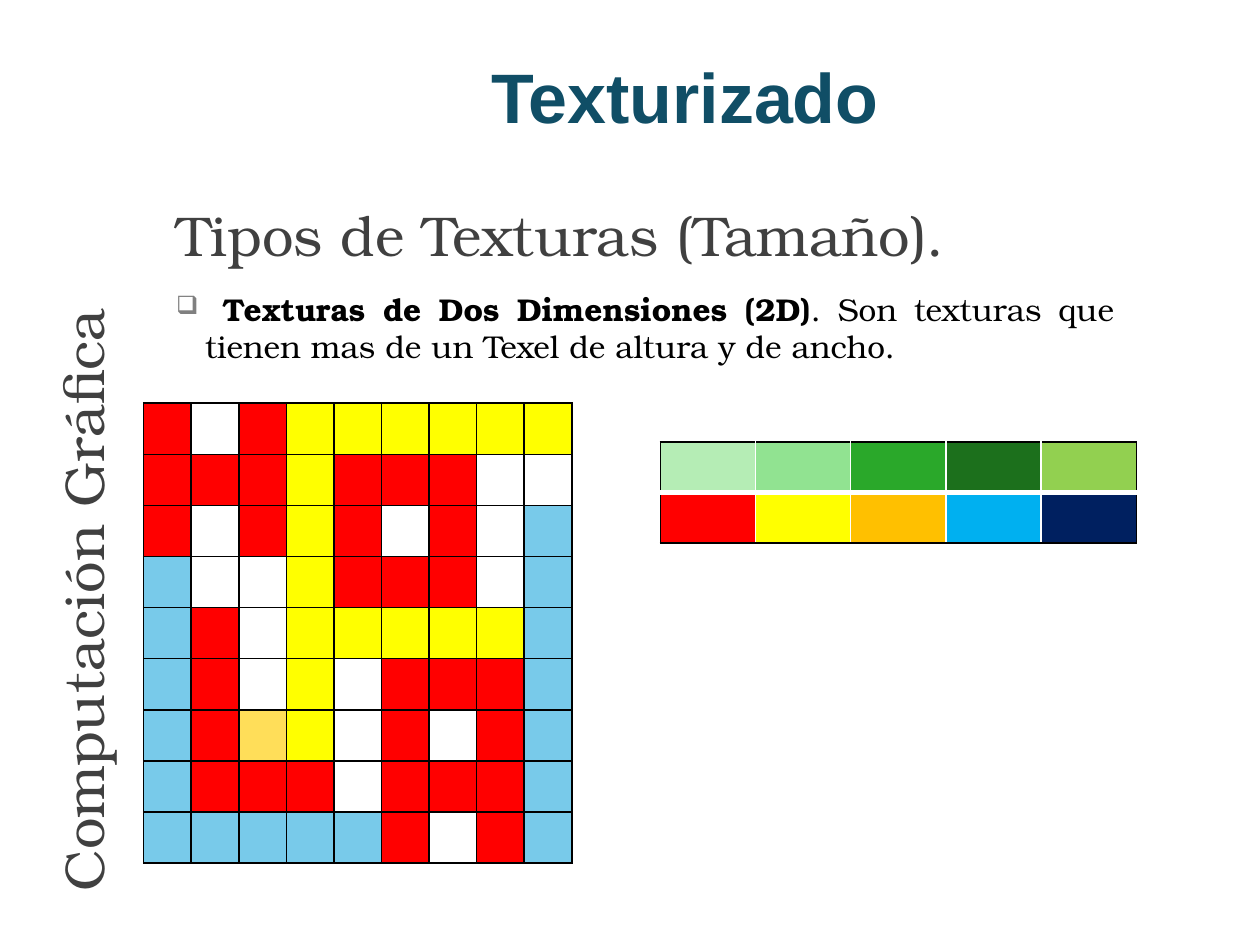
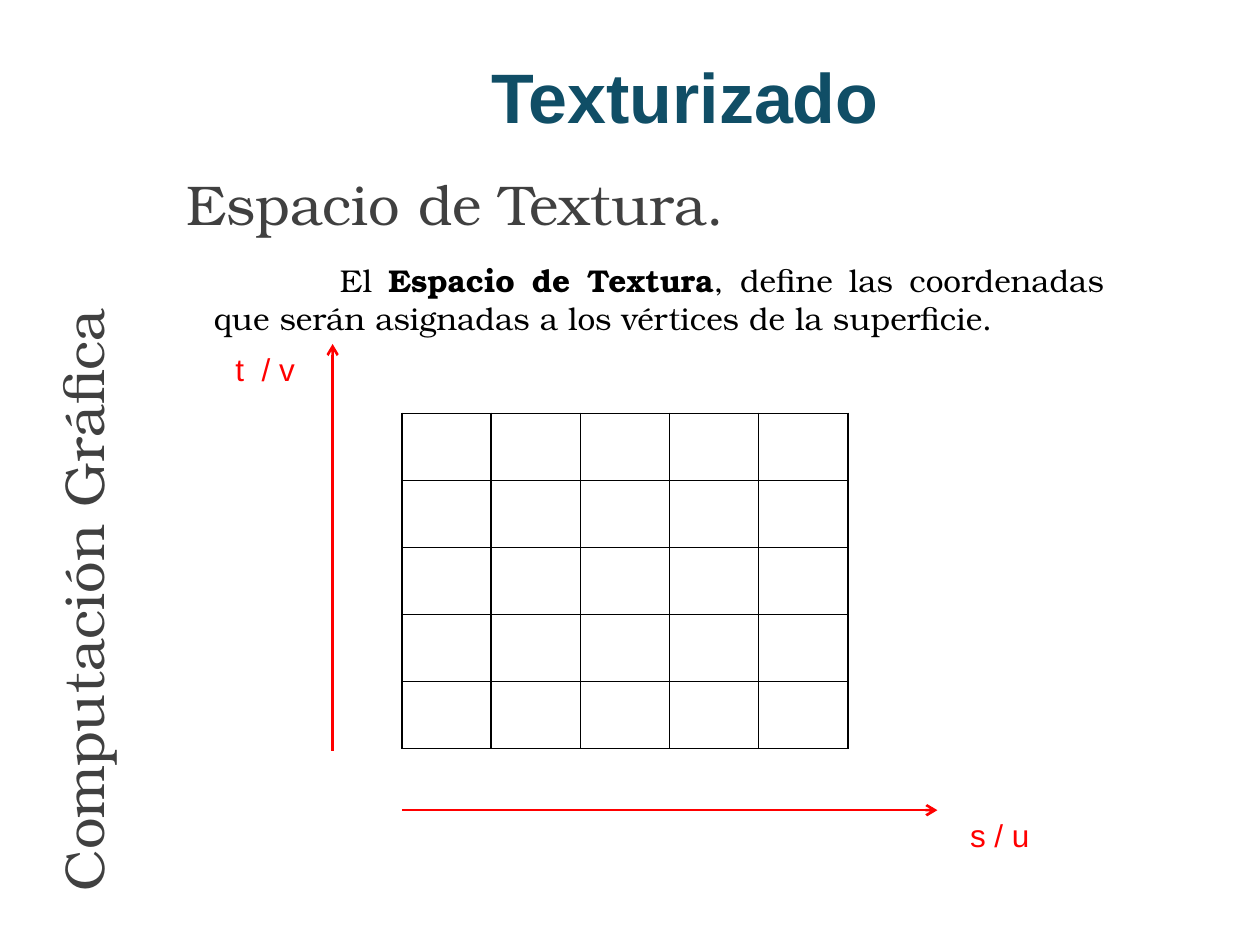
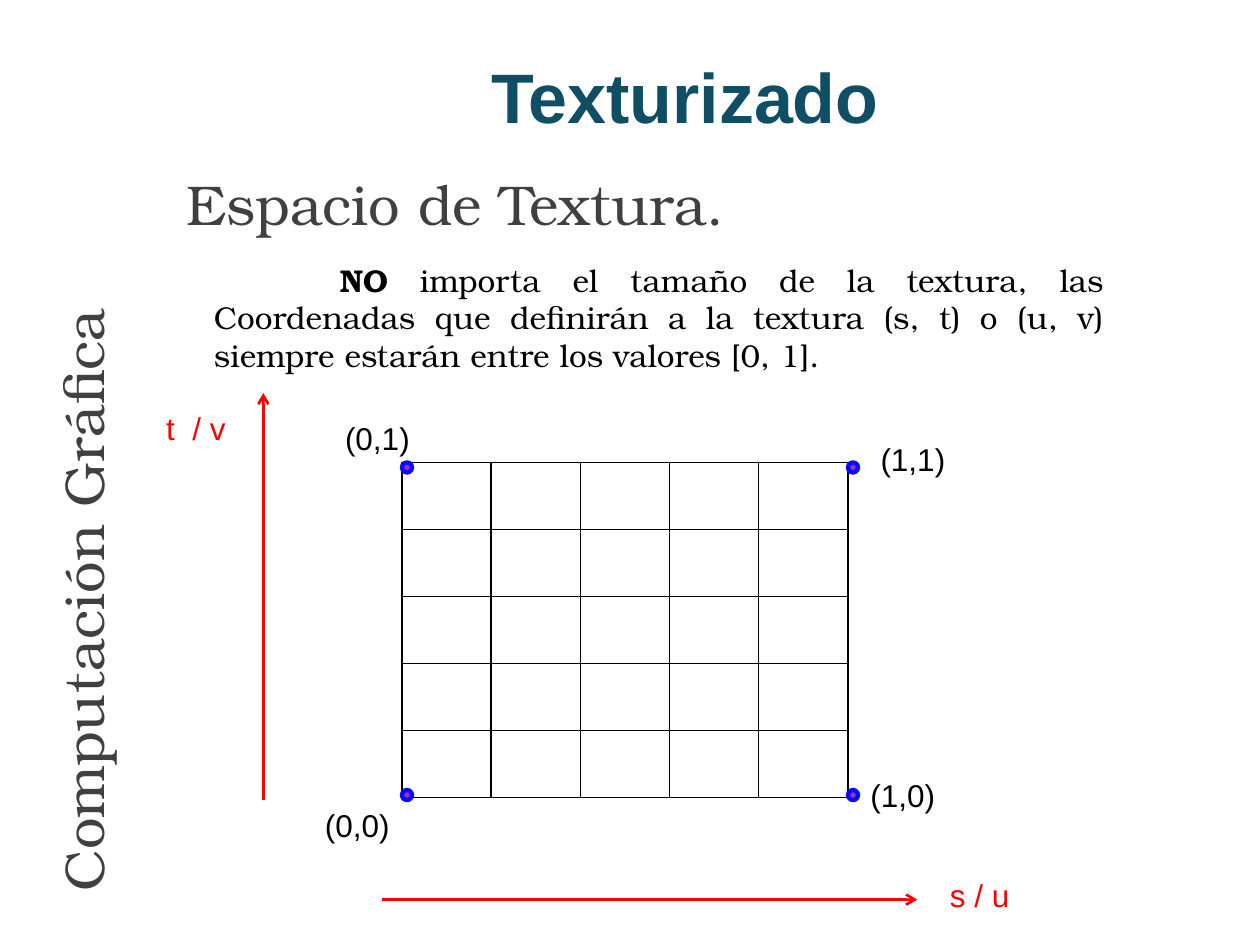
from lxml.etree import SubElement
from pptx import Presentation
from pptx.dml.color import RGBColor
from pptx.enum.shapes import MSO_CONNECTOR, MSO_SHAPE
from pptx.enum.text import MSO_ANCHOR as Anchor, PP_ALIGN as Align
from pptx.oxml.ns import qn
from pptx.util import Inches, Pt

COLORS = {
    "title": "104E66", "heading": "404040", "text": "000000", "bullet": "808080",
    "axis": "FF0000", "black": "000000", "white": "FFFFFF",
    "dot": "9933B6", "dot_line": "0909FF",
}
SERIF, SANS = "TeX Gyre Bonum", "Arial"

TITLE = "Texturizado"
COURSE = "Computación Gráfica"
SIZES_HEADING = "Tipos de Texturas (Tamaño)."
SPACE_HEADING = "Espacio de Textura."

# Each body is a list of (text, bold) spans.
SIZES_BODY = [
    (" Texturas de Dos Dimensiones (2D)", True),
    (". Son texturas que tienen mas de un Texel de altura y de ancho.", False),
]
TEXEL_COLORS = {"R": "FF0000", "Y": "FFFF00", "B": "78CAEA", "O": "FFDE59", ".": None}
TEXELS = [
    "R.RYYYYYY",
    "RRRYRRR..",
    "R.RYR.R.B",
    "B..YRRR.B",
    "BR.YYYYYB",
    "BR.Y.RRRB",
    "BROY.R.RB",
    "BRRR.RRRB",
    "BBBBBR.RB",
]
PALETTE = [
    ["B5EDB5", "91E391", "2AA82A", "1C701C", "92D050"],
    ["FF0000", "FFFF00", "FFC000", "00B0F0", "002060"],
]

GRID_LEFT, GRID_WIDTH, GRID_HEIGHT, GRID_COUNT = 3.19, 3.54, 2.66, 5
DOT_SIZE, DOT_RISE = 0.08, 2.6
AXIS_UP, AXIS_RIGHT = 3.23, 4.25
SPACES = [
    {
        "body": [("El ", False), ("Espacio de Textura", True),
                 (", define las coordenadas que serán asignadas a los vértices "
                  "de la superficie.", False)],
        "body_height": 0.79,
        "grid_top": 3.28,
        "v_start": (2.64, 5.96), "v_label": (1.77, 2.73),
        "u_start": (3.19, 6.43), "u_label": (7.6, 6.43),
        "corners": [],
    },
    {
        "body": [("NO", True),
                 (" importa el tamaño de la textura, las Coordenadas que definirán "
                  "a la textura (s, t) o (u, v) siempre estarán entre los valores "
                  "[0, 1].", False)],
        "body_height": 1.26,
        "grid_top": 3.67,
        "v_start": (2.09, 6.35), "v_label": (1.22, 3.2),
        "u_start": (3.03, 7.14), "u_label": (7.44, 6.9),
        "corners": [((1, 1), 6.89, 3.44), ((1, 0), 6.81, 6.11),
                    ((0, 1), 2.64, 3.28), ((0, 0), 2.48, 6.35)],
    },
]


def rgb(name):
    return RGBColor.from_string(COLORS[name])


def add_text(page, at, spans, size, font=SERIF, color="text",
             align=Align.LEFT, anchor=Anchor.TOP):
    """Add a one-paragraph text box; spans is a list of (text, bold)."""
    box = page.shapes.add_textbox(*map(Inches, at))
    frame = box.text_frame
    frame.word_wrap = True
    frame.vertical_anchor = anchor
    para = frame.paragraphs[0]
    para.alignment = align
    for text, bold in spans:
        span = para.add_run()
        span.text = text
        span.font.name, span.font.size, span.font.bold = font, Pt(size), bold
        span.font.color.rgb = rgb(color)
    return box


def add_body(page, at, spans, margin, indent, bullet=None):
    box = add_text(page, at, spans, 18, align=Align.JUSTIFY)
    para = box.text_frame.paragraphs[0]
    para.space_before = Pt(15)
    props = para._p.get_or_add_pPr()
    props.set("marL", str(Inches(margin)))
    props.set("indent", str(Inches(indent)))
    if bullet:
        tint = SubElement(props, qn("a:buClr"))
        SubElement(tint, qn("a:srgbClr"), val=COLORS["bullet"])
        SubElement(props, qn("a:buSzPct"), val="80000")
        SubElement(props, qn("a:buChar"), char=bullet)


def add_label(page, text, left, top, width, color="text"):
    add_text(page, (left, top, width, 0.4), [(text, False)], 18, SANS, color)


def set_borders(cell, borders):
    """Draw the cell's edges; borders maps L, R, T, B to (colour, points)."""
    props = cell._tc.get_or_add_tcPr()
    for side in "LRTB":
        color, points = borders[side]
        line = SubElement(props, qn(f"a:ln{side}"), w=str(Pt(points)))
        fill = SubElement(line, qn("a:solidFill"))
        SubElement(fill, qn("a:srgbClr"), val=COLORS[color])


def black_borders(row, column):
    return dict.fromkeys("LRTB", ("black", 1))


def palette_borders(row, column):
    outer, inner, divider = ("black", 1), ("white", 1), ("white", 3)
    return {
        "L": outer if column == 0 else inner,
        "R": outer if column == len(PALETTE[0]) - 1 else inner,
        "T": outer if row == 0 else divider,
        "B": outer if row == len(PALETTE) - 1 else divider,
    }


def add_grid(page, at, fills, borders=black_borders):
    """Add a table of equal cells; fills holds hex colours, or None for no fill."""
    left, top, width, height = map(Inches, at)
    table = page.shapes.add_table(len(fills), len(fills[0]), left, top, width, height).table
    table.first_row = table.horz_banding = False
    for row, colors in enumerate(fills):
        for column, color in enumerate(colors):
            cell = table.cell(row, column)
            set_borders(cell, borders(row, column))
            if color:
                cell.fill.solid()
                cell.fill.fore_color.rgb = RGBColor.from_string(color)
            else:
                cell.fill.background()


def add_axis(page, start, dx, dy):
    x, y = start
    axis = page.shapes.add_connector(MSO_CONNECTOR.STRAIGHT, Inches(x), Inches(y),
                                     Inches(x + dx), Inches(y + dy))
    axis.line.color.rgb = rgb("axis")
    axis.line.width = Pt(1.5)
    SubElement(axis.line._get_or_add_ln(), qn("a:tailEnd"), type="arrow")
    SubElement(axis._element.spPr, qn("a:effectLst"))


def add_dot(page, left, top):
    dot = page.shapes.add_shape(MSO_SHAPE.OVAL, Inches(left), Inches(top),
                                Inches(DOT_SIZE), Inches(DOT_SIZE))
    dot.shadow.inherit = False
    dot.fill.solid()
    dot.fill.fore_color.rgb = rgb("dot")
    dot.line.color.rgb = rgb("dot_line")
    dot.line.width = Pt(2.5)


def add_page(deck, heading, left, top):
    """Add a slide with its heading, the deck title and the course name."""
    page = deck.slides.add_slide(deck.slide_layouts[6])
    add_text(page, (left, top, 7.5, 1.25), [(heading, False)], 32,
             color="heading", anchor=Anchor.BOTTOM)
    add_text(page, (2.01, 0.37, 6.85, 0.77), [(TITLE, True)], 40, SANS, "title",
             Align.CENTER, Anchor.MIDDLE)
    course = add_text(page, (-2.91, 3.29, 6.83, 0.93), [(COURSE, False)], 32,
                      color="heading", anchor=Anchor.BOTTOM)
    course.rotation = 270
    return page


def add_sizes_page(deck):
    page = add_page(deck, SIZES_HEADING, 1.3, 0.92)
    add_body(page, (1.3, 2.25, 7.64, 1.1), SIZES_BODY, 0.23, -0.23, "❑")
    texels = [[TEXEL_COLORS[key] for key in row] for row in TEXELS]
    add_grid(page, (1.14, 3.2, 3.4, 3.65), texels)
    add_grid(page, (5.24, 3.51, 3.78, 0.8), PALETTE, palette_borders)


def add_space_page(deck, space):
    page = add_page(deck, SPACE_HEADING, 1.38, 0.68)
    add_body(page, (1.22, 2.02, 7.64, space["body_height"]), space["body"], 0.38, 1)
    top = space["grid_top"]
    add_grid(page, (GRID_LEFT, top, GRID_WIDTH, GRID_HEIGHT),
             [[COLORS["white"]] * GRID_COUNT] * GRID_COUNT)
    add_axis(page, space["v_start"], 0, -AXIS_UP)
    add_axis(page, space["u_start"], AXIS_RIGHT, 0)
    add_label(page, "t  / v", *space["v_label"], 0.71, "axis")
    add_label(page, "s / u", *space["u_label"], 0.79, "axis")
    for (u, v), label_left, label_top in space["corners"]:
        add_dot(page, GRID_LEFT + u * GRID_WIDTH, top + (1 - v) * DOT_RISE)
        add_label(page, f"({u},{v})", label_left, label_top, 0.87)


def main():
    deck = Presentation()
    deck.slide_width, deck.slide_height = Inches(10), Inches(7.5)
    add_sizes_page(deck)
    for space in SPACES:
        add_space_page(deck, space)
    deck.save("out.pptx")


if __name__ == "__main__":
    main()
